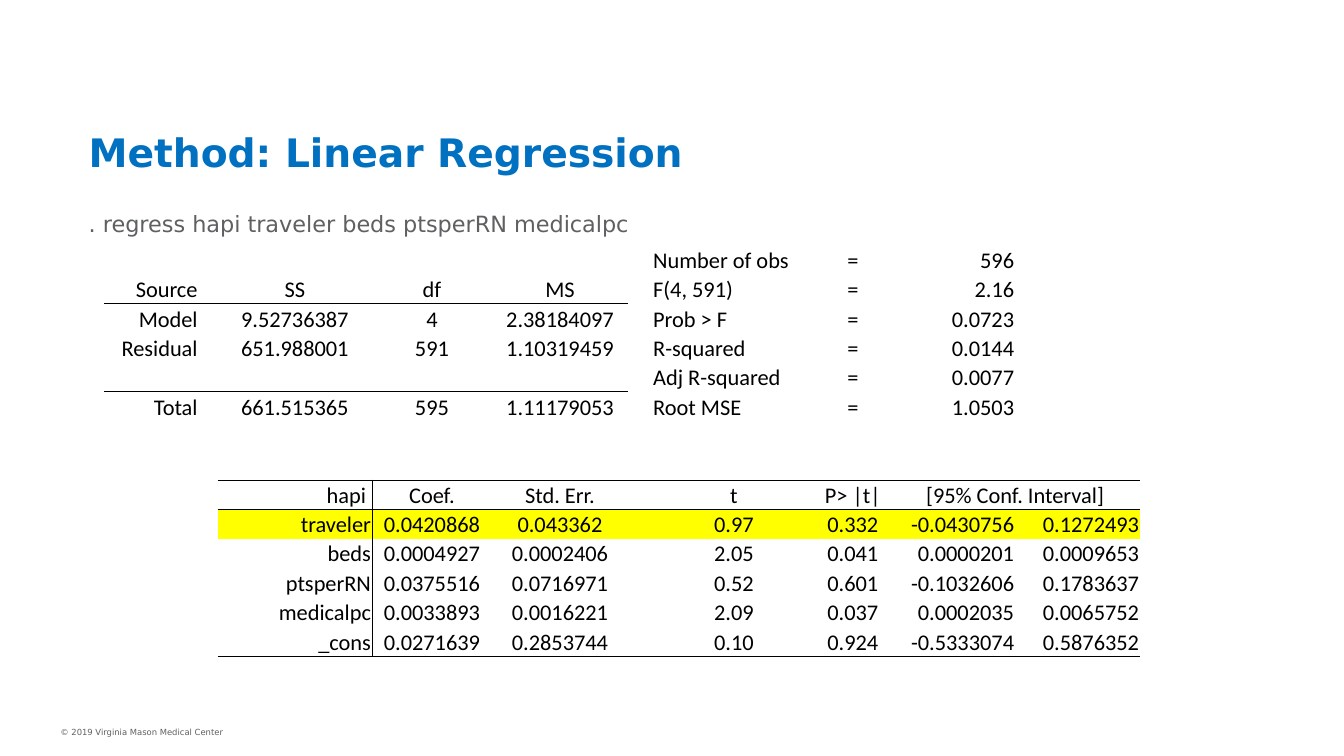
from dataclasses import dataclass

from lxml import etree
from pptx import Presentation
from pptx.dml.color import RGBColor
from pptx.enum import text as t
from pptx.oxml.ns import qn
from pptx.util import Inches, Pt

TITLE = "Method: Linear Regression"
COMMAND = ". regress hapi traveler beds ptsperRN medicalpc"
COPYRIGHT = "© 2019 Virginia Mason Medical Center"

ANOVA = [
    ("", "", "", ""),
    ("Source", "SS", "df", "MS"),
    ("Model", "9.52736387", "4", "2.38184097"),
    ("Residual", "651.988001", "591", "1.10319459"),
    ("", "", "", ""),
    ("Total", "661.515365", "595", "1.11179053"),
]
FIT = [
    ("Number of obs", "596"),
    ("F(4, 591)", "2.16"),
    ("Prob > F", "0.0723"),
    ("R-squared", "0.0144"),
    ("Adj R-squared", "0.0077"),
    ("Root MSE", "1.0503"),
]
COEFFICIENTS = [
    ("hapi ", "Coef.", "Std. Err.", "t", "P> |t|", "[95% Conf. Interval]", ""),
    ("traveler", "0.0420868", "0.043362", "0.97", "0.332", "-0.0430756", "0.1272493"),
    ("beds", "0.0004927", "0.0002406", "2.05", "0.041", "0.0000201", "0.0009653"),
    ("ptsperRN", "0.0375516", "0.0716971", "0.52", "0.601", "-0.1032606", "0.1783637"),
    ("medicalpc", "0.0033893", "0.0016221", "2.09", "0.037", "0.0002035", "0.0065752"),
    ("_cons", "0.0271639", "0.2853744", "0.10", "0.924", "-0.5333074", "0.5876352"),
]

COLUMN_WIDTHS = (0.94, 0.19, 1.53, 1.19, 1.35, 0.24, 1.62, 0.74, 1.24, 1.24)
TABLE_BOX = (1.03, 2.43, 10.28, 4.08)
ANOVA_COLUMNS, COEFFICIENT_COLUMNS = range(0, 5), range(2, 10)
COEFFICIENT_TOP = 8
HEADER, HIGHLIGHT, BEDS = 8, 9, 10
ROW_RULES = {
    2: ANOVA_COLUMNS,
    5: ANOVA_COLUMNS,
    8: COEFFICIENT_COLUMNS,
    9: COEFFICIENT_COLUMNS,
    14: COEFFICIENT_COLUMNS,
}
NAME_RULE = 3
SUMMARY_ALIGN, COEFFICIENT_ALIGN = "rccccllcrr", "rrrcccccrr"
ALIGN = {"l": t.PP_ALIGN.LEFT, "c": t.PP_ALIGN.CENTER, "r": t.PP_ALIGN.RIGHT}


@dataclass(frozen=True)
class Theme:
    heading: str = "DejaVu Sans"
    figures: str = "Calibri"
    blue: str = "0070C0"
    grey: str = "5F6062"
    black: str = "000000"
    yellow: str = "FFFF00"
    title_size: int = 28
    body_size: int = 16
    footer_size: int = 6
    rule_width: float = 0.5


THEME = Theme()


def style(paragraph, face, size, color, bold=False):
    for span in paragraph.runs:
        span.font.name, span.font.size, span.font.bold = face, Pt(size), bold
        span.font.color.rgb = RGBColor.from_string(color)


def fill_box(box, place, words, size, color, bold=False):
    box.left, box.top, box.width, box.height = map(Inches, place)
    frame = box.text_frame
    frame.text = words
    frame.word_wrap = True
    frame.auto_size = t.MSO_AUTO_SIZE.NONE
    frame.vertical_anchor = t.MSO_ANCHOR.MIDDLE
    frame.margin_top = frame.margin_bottom = 0
    paragraph = frame.paragraphs[0]
    paragraph.alignment = t.PP_ALIGN.LEFT
    paragraph.space_before = Pt(0)
    style(paragraph, THEME.heading, size, color, bold)
    return paragraph


def table_rows():
    rows = [[source, "", *sums, "", label, "=", value, ""]
            for (source, *sums), (label, value) in zip(ANOVA, FIT)]
    rows += [[""] * len(COLUMN_WIDTHS) for _ in range(COEFFICIENT_TOP - len(rows))]
    for name, coefficient, error, *rest in COEFFICIENTS:
        rows.append(["", "", name, coefficient, error, "", *rest])
    rows[BEDS][0], rows[BEDS][2] = rows[BEDS][2], ""
    return rows


def set_borders(cell, row, column):
    right = column + (cell.span_width if cell.is_merge_origin else 1)
    beside_names = row >= COEFFICIENT_TOP
    ruled = {
        "a:lnL": beside_names and column == NAME_RULE,
        "a:lnR": beside_names and right == NAME_RULE,
        "a:lnT": column in ROW_RULES.get(row, ()),
        "a:lnB": column in ROW_RULES.get(row + 1, ()),
    }
    properties = cell._tc.get_or_add_tcPr()
    for side, shown in ruled.items():
        line = etree.SubElement(properties, qn(side), w=str(Pt(THEME.rule_width)))
        paint = etree.SubElement(line, qn("a:solidFill" if shown else "a:noFill"))
        if shown:
            etree.SubElement(paint, qn("a:srgbClr"), val=THEME.black)


def fill_cell(cell, words, row, column):
    set_borders(cell, row, column)
    if row == HIGHLIGHT and column in COEFFICIENT_COLUMNS:
        cell.fill.solid()
        cell.fill.fore_color.rgb = RGBColor.from_string(THEME.yellow)
    else:
        cell.fill.background()
    cell.margin_left = cell.margin_right = cell.margin_top = Inches(0.01)
    cell.margin_bottom = 0
    cell.vertical_anchor = t.MSO_ANCHOR.BOTTOM
    paragraph = cell.text_frame.paragraphs[0]
    letters = SUMMARY_ALIGN if row < COEFFICIENT_TOP else COEFFICIENT_ALIGN
    interval_header = row == HEADER and column == 8
    paragraph.alignment = ALIGN["c" if interval_header else letters[column]]
    if words:
        paragraph.text = words
        style(paragraph, THEME.figures, THEME.body_size, THEME.black)
    else:
        etree.SubElement(paragraph._p, qn("a:endParaRPr"), sz=str(THEME.body_size * 100))


def add_regression_table(page):
    rows = table_rows()
    table = page.shapes.add_table(
        len(rows), len(COLUMN_WIDTHS), *map(Inches, TABLE_BOX)).table
    table.first_row = table.horz_banding = False
    for column, width in zip(table.columns, COLUMN_WIDTHS):
        column.width = Inches(width)
    table.cell(HEADER, 8).merge(table.cell(HEADER, 9))
    table.cell(BEDS, 0).merge(table.cell(BEDS, 2))
    for row, values in enumerate(rows):
        for column, words in enumerate(values):
            fill_cell(table.cell(row, column), words, row, column)


def main():
    """Build the linear regression slide."""
    deck = Presentation()
    deck.slide_width, deck.slide_height = Inches(13.33), Inches(7.5)
    page = deck.slides.add_slide(deck.slide_layouts[1])
    title, body = page.placeholders
    fill_box(title, (0.78, 1.21, 12, 0.6), TITLE, THEME.title_size, THEME.blue, True)
    command = fill_box(body, (0.78, 2.02, 12, 0.4), COMMAND, THEME.body_size, THEME.grey)
    properties = command._p.get_or_add_pPr()
    properties.set("marL", "0")
    properties.set("indent", "0")
    etree.SubElement(properties, qn("a:buNone"))
    add_regression_table(page)
    place = (0.5, 7.16, 4.75, 0.2)
    footer = page.shapes.add_textbox(*map(Inches, place))
    fill_box(footer, place, COPYRIGHT, THEME.footer_size, THEME.grey)
    deck.save("out.pptx")


if __name__ == "__main__":
    main()
